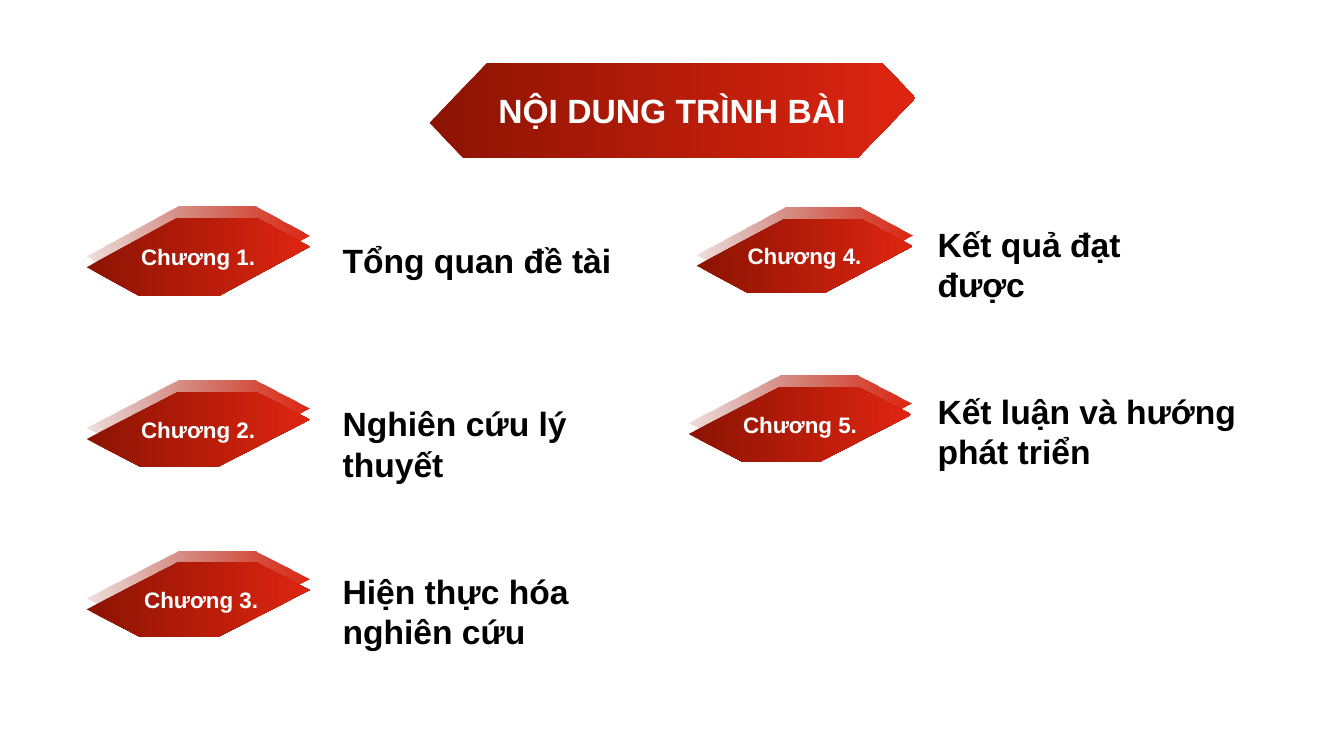
from lxml import etree
from pptx import Presentation
from pptx.dml.color import RGBColor
from pptx.enum.text import MSO_ANCHOR, MSO_AUTO_SIZE, PP_ALIGN
from pptx.oxml.ns import qn
from pptx.util import Inches, Pt

CENTER, LEFT = PP_ALIGN.CENTER, PP_ALIGN.LEFT
TOP, MIDDLE = MSO_ANCHOR.TOP, MSO_ANCHOR.MIDDLE
NO_AUTOFIT = MSO_AUTO_SIZE.NONE

COLORS = {"dark": "8C1302", "bright": "DE2511", "light": "FFFFFF", "text": "000000"}
FONT = "Arial"
TITLE_ONLY = 5

BANNER = [(0.12, 0), (0.93, 0), (1, 0.37), (0.88, 1), (0.07, 1), (0, 0.63)]
BADGE = [(0.41, 0), (0.76, 0), (1, 0.37), (0.59, 1), (0.24, 1), (0, 0.63)]

CHAPTERS = [
    ("Chương 1.", (0.86, 2.05, 2.21, 0.78), "Tổng quan đề tài", (3.3, 2.33, 3.3, 0.5)),
    ("Chương 2.", (0.86, 3.78, 2.21, 0.74), "Nghiên cứu lý thuyết", (3.3, 3.95, 3.3, 0.91)),
    (" Chương 3.", (0.86, 5.47, 2.21, 0.74), "Hiện thực hóa nghiên cứu", (3.3, 5.61, 3.54, 0.91)),
    ("Chương 4.", (6.91, 2.06, 2.14, 0.74), "Kết quả đạt được", (9.2, 2.17, 2.45, 0.91)),
    ("Chương 5.", (6.83, 3.73, 2.21, 0.74), "Kết luận và hướng phát triển", (9.2, 3.83, 3.82, 0.91)),
]


class AgendaSlide:
    def __init__(self, presentation):
        self.slide = presentation.slides.add_slide(presentation.slide_layouts[TITLE_ONLY])

    def set_text(self, shape, text, size, color, alignment, anchor, wrap=True):
        frame = shape.text_frame
        frame.text = text
        frame.auto_size = NO_AUTOFIT
        frame.word_wrap = wrap
        frame.vertical_anchor = anchor
        paragraph = frame.paragraphs[0]
        paragraph.alignment = alignment
        paragraph.font.name = FONT
        paragraph.font.size = Pt(size)
        paragraph.font.bold = True
        paragraph.font.color.rgb = RGBColor.from_string(COLORS[color])

    def ribbon(self, shapes, outline, box, start_opacity=100):
        left, top, width, height = box
        points = [(Inches(left + x * width), Inches(top + y * height)) for x, y in outline]
        builder = shapes.build_freeform(*points[0])
        builder.add_line_segments(points[1:], close=True)
        shape = builder.convert_to_shape()
        shape.shadow.inherit = False
        shape.line.fill.background()
        shape.fill.gradient()
        shape.fill.gradient_angle = 0
        for stop, color in zip(shape.fill.gradient_stops, ("dark", "bright")):
            stop.color.rgb = RGBColor.from_string(COLORS[color])
        if start_opacity < 100:
            start_color = next(shape._element.iter(qn("a:srgbClr")))
            etree.SubElement(start_color, qn("a:alpha"), val=str(start_opacity * 1000))
        return shape

    def title(self, text, box, banner_box):
        self.ribbon(self.slide.shapes, BANNER, banner_box)
        title = self.slide.shapes.title
        title.left, title.top, title.width, title.height = map(Inches, box)
        self.set_text(title, text, 24, "light", CENTER, MIDDLE, wrap=False)
        self.slide.shapes._spTree.append(title._element)

    def badge(self, text, box):
        left, top, width, height = box
        group = self.slide.shapes.add_group_shape()
        self.ribbon(group.shapes, BADGE, box, start_opacity=13)
        front = self.ribbon(group.shapes, BADGE, (left, top + 0.11, width, height))
        self.set_text(front, text, 16, "light", CENTER, MIDDLE)

    def label(self, text, box):
        textbox = self.slide.shapes.add_textbox(*map(Inches, box))
        self.set_text(textbox, text, 24, "text", LEFT, TOP)


def main():
    presentation = Presentation()
    presentation.slide_width = Inches(13.33)
    presentation.slide_height = Inches(7.5)
    agenda = AgendaSlide(presentation)
    agenda.title("NỘI DUNG TRÌNH BÀI", (4.71, 0.84, 3.91, 0.5), (4.26, 0.62, 4.82, 0.95))
    for chapter, badge_box, topic, topic_box in CHAPTERS:
        agenda.badge(chapter, badge_box)
        agenda.label(topic, topic_box)
    presentation.save("out.pptx")


if __name__ == "__main__":
    main()
